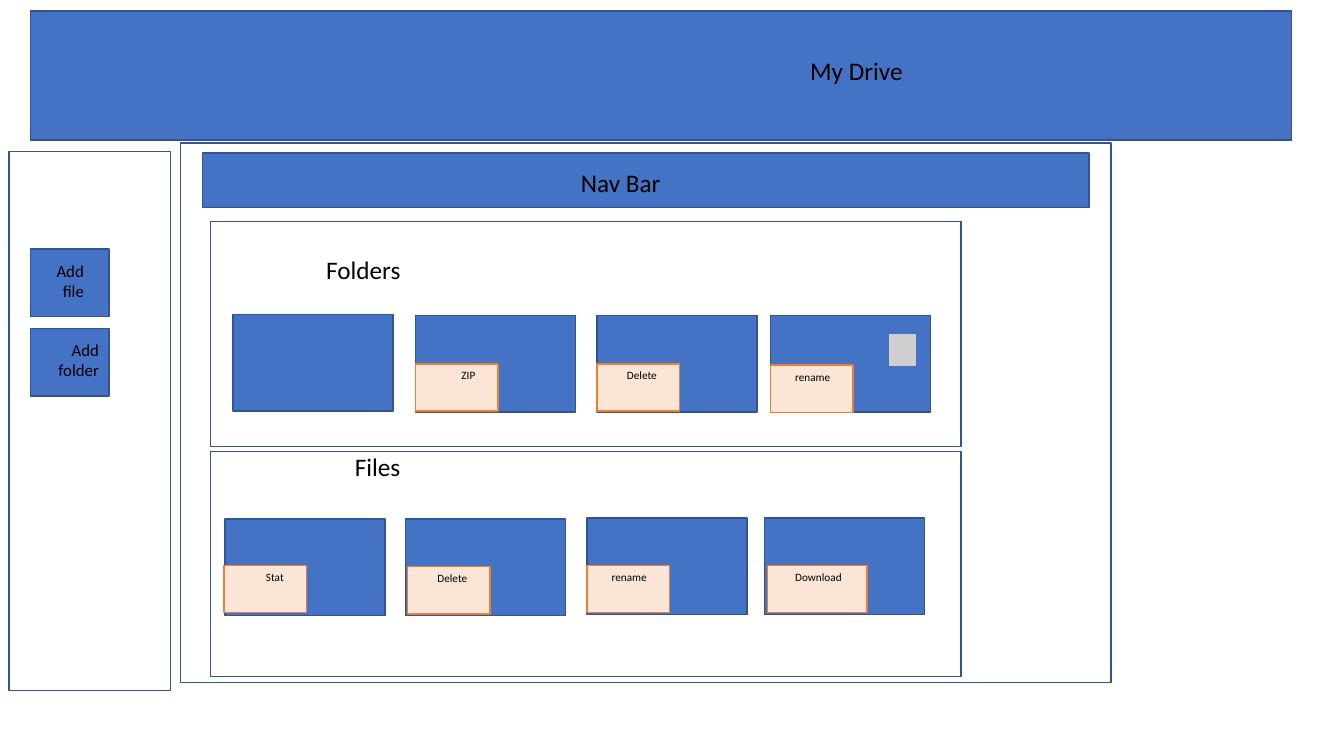
from pptx import Presentation
from pptx.dml.color import RGBColor
from pptx.enum.shapes import MSO_SHAPE
from pptx.enum.text import MSO_AUTO_SIZE, PP_ALIGN
from pptx.util import Inches, Pt

RECTANGLE = MSO_SHAPE.RECTANGLE
BLANK_BUTTON = MSO_SHAPE.ACTION_BUTTON_CUSTOM
RIGHT = PP_ALIGN.RIGHT
FIT_SHAPE = MSO_AUTO_SIZE.SHAPE_TO_FIT_TEXT

FONT = "Calibri"
COLOURS = {
    "blue": "4472C4",
    "outline": "325491",
    "peach": "FBE5D6",
    "orange": "ED7D31",
    "grey": "D0CECE",
    "text": "000000",
}
CARD_WIDTH, CARD_HEIGHT = 1.59, 0.96
TAG_WIDTH, TAG_HEIGHT = 0.82, 0.47

FOLDER_CARDS = [(2.31, 3.12), (4.12, 3.13), (5.92, 3.13), (7.64, 3.13)]
FILE_CARDS = [(2.23, 5.15), (4.02, 5.15), (5.82, 5.14), (7.58, 5.14)]
FOLDER_TAGS = [
    ("ZIP", 4.12, 3.61, TAG_WIDTH),
    ("Delete", 5.92, 3.61, TAG_WIDTH),
    ("rename", 7.64, 3.62, TAG_WIDTH),
]
FILE_TAGS = [
    ("Stat", 2.22, 5.61, TAG_WIDTH),
    ("Delete", 4.04, 5.62, TAG_WIDTH),
    ("rename", 5.82, 5.61, TAG_WIDTH),
    ("Download", 7.61, 5.61, 0.99),
]
PANELS = [
    (0.09, 1.5, 1.6, 5.35),
    (1.79, 1.42, 9.23, 5.35),
    (2.09, 2.2, 7.44, 2.23),
    (2.09, 4.48, 7.44, 2.23),
]


def colour(name):
    return RGBColor.from_string(COLOURS[name])


def add_box(shapes, left, top, width, height, fill="blue", line="outline", kind=RECTANGLE):
    shape = shapes.add_shape(kind, Inches(left), Inches(top), Inches(width), Inches(height))
    shape.shadow.inherit = False
    if fill:
        shape.fill.solid()
        shape.fill.fore_color.rgb = colour(fill)
    else:
        shape.fill.background()
    shape.line.color.rgb = colour(line)
    shape.line.width = Pt(1)


def add_label(shapes, text, left, top, width, height, size):
    box = shapes.add_textbox(Inches(left), Inches(top), Inches(width), Inches(height))
    text_frame = box.text_frame
    text_frame.word_wrap = True
    text_frame.auto_size = FIT_SHAPE
    text_frame.text = text
    paragraph = text_frame.paragraphs[0]
    paragraph.alignment = RIGHT
    font = paragraph.runs[0].font
    font.name = FONT
    font.size = Pt(size)
    font.color.rgb = colour("text")


def add_tag(shapes, text, left, top, width):
    tag_shapes = shapes.add_group_shape().shapes
    add_box(tag_shapes, left, top, width, TAG_HEIGHT, "peach", "orange")
    inset = width * 0.09
    add_label(tag_shapes, text, left + inset, top, width * 0.755, 0.24, 8)


def add_cards(shapes, cards, tags):
    for left, top in cards:
        add_box(shapes, left, top, CARD_WIDTH, CARD_HEIGHT)
    for tag in tags:
        add_tag(shapes, *tag)


def main():
    presentation = Presentation()
    presentation.slide_width = Inches(13.33)
    presentation.slide_height = Inches(7.5)
    slide = presentation.slides.add_slide(presentation.slide_layouts[6])
    shapes = slide.shapes

    add_box(shapes, 0.3, 0.11, 12.51, 1.28)
    add_label(shapes, "My Drive", 2.57, 0.5, 6.48, 0.4, 18)
    add_box(shapes, 2.01, 1.52, 8.79, 0.54)
    add_label(shapes, "Nav Bar", 2.88, 1.61, 3.77, 0.4, 18)
    add_label(shapes, "Folders", 0.54, 2.47, 3.53, 0.4, 18)
    add_label(shapes, "Files", 0.54, 4.43, 3.53, 0.4, 18)

    add_cards(shapes, FOLDER_CARDS, FOLDER_TAGS)
    add_cards(shapes, FILE_CARDS, FILE_TAGS)

    for top in (2.47, 3.26):
        add_box(shapes, 0.3, top, 0.78, 0.67)
    add_label(shapes, "Add file", 0.44, 2.54, 0.49, 0.5, 12)
    add_label(shapes, "Add folder", 0.41, 3.32, 0.67, 0.5, 12)

    for panel in PANELS:
        add_box(shapes, *panel, fill=None)
    add_box(shapes, 8.82, 3.32, 0.26, 0.3, "grey", "grey", BLANK_BUTTON)

    presentation.save("out.pptx")


if __name__ == "__main__":
    main()
